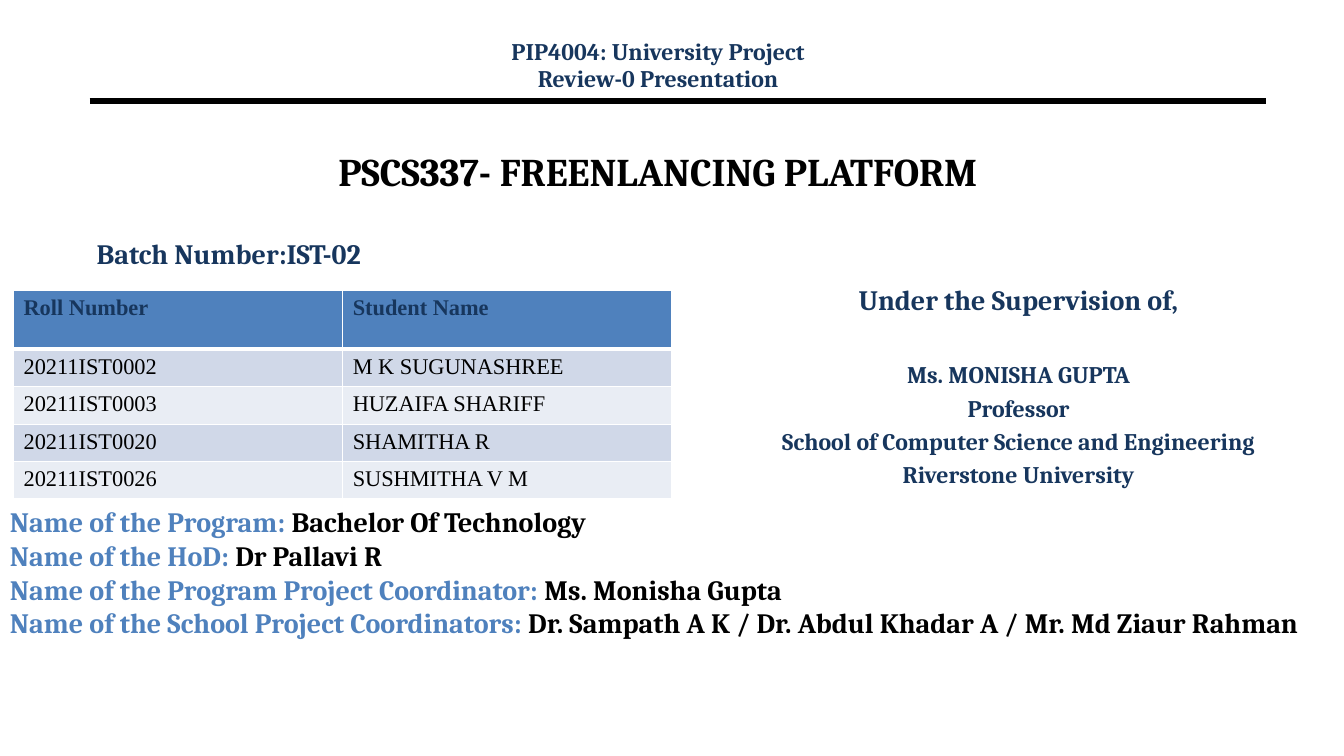
from lxml import etree
from pptx import Presentation
from pptx.dml.color import RGBColor
from pptx.enum.shapes import MSO_CONNECTOR
from pptx.enum.text import MSO_ANCHOR, PP_ALIGN
from pptx.oxml.ns import qn
from pptx.util import Pt

STRAIGHT = MSO_CONNECTOR.STRAIGHT
TOP, MIDDLE = MSO_ANCHOR.TOP, MSO_ANCHOR.MIDDLE
LEFT, CENTER = PP_ALIGN.LEFT, PP_ALIGN.CENTER

BLACK = RGBColor(0x00, 0x00, 0x00)
NAVY = RGBColor(0x17, 0x36, 0x5D)
BLUE = RGBColor(0x4F, 0x81, 0xBD)
BAND_DARK = RGBColor(0xD0, 0xD8, 0xE8)
BAND_LIGHT = RGBColor(0xE9, 0xED, 0xF4)
BORDER = "FFFFFF"

HEADING_FONT = "Cambria"
TABLE_FONT = "Times New Roman"

STUDENTS = [
    ("Roll Number", "Student Name"),
    ("20211IST0002", "M K SUGUNASHREE"),
    ("20211IST0003", "HUZAIFA SHARIFF"),
    ("20211IST0020", "SHAMITHA R"),
    ("20211IST0026", "SUSHMITHA V M"),
]
ROW_HEIGHTS = [42, 24.5, 27.5, 25, 24.5]

SUPERVISOR = [
    "Ms. MONISHA GUPTA",
    "Professor",
    "School of Computer Science and Engineering",
    "Riverstone University",
]

STAFF = [
    ("Name of the Program: ", "Bachelor Of Technology"),
    ("Name of the HoD: ", "Dr Pallavi R"),
    ("Name of the Program Project Coordinator: ", "Ms. Monisha Gupta"),
    ("Name of the School Project Coordinators: ",
     "Dr. Sampath A K / Dr. Abdul Khadar A / Mr. Md Ziaur Rahman"),
]


def style_run(run, size, color, font=HEADING_FONT, bold=True):
    run.font.name = font
    run.font.size = Pt(size)
    run.font.bold = bold
    run.font.color.rgb = color


def add_text(slide, box, lines, align=LEFT, anchor=TOP, line_spacing=None):
    """Each line is (space before, size, [(text, color), ...])."""
    frame = slide.shapes.add_textbox(*map(Pt, box)).text_frame
    frame.word_wrap = True
    frame.vertical_anchor = anchor
    for index, (space_before, size, pieces) in enumerate(lines):
        paragraph = frame.add_paragraph() if index else frame.paragraphs[0]
        paragraph.alignment = align
        paragraph.space_before = Pt(space_before)
        if line_spacing:
            paragraph.line_spacing = line_spacing
        for text, color in pieces:
            run = paragraph.add_run()
            run.text = text
            style_run(run, size, color)


def add_rule(slide, left, right, y):
    rule = slide.shapes.add_connector(STRAIGHT, Pt(left), Pt(y), Pt(right), Pt(y))
    rule.line.color.rgb = BLACK
    rule.line.width = Pt(4.5)
    etree.SubElement(rule._element.spPr, qn("a:effectLst"))


def set_borders(cell, widths):
    """Widths are in points: left, right, top, bottom."""
    properties = cell._tc.get_or_add_tcPr()
    for index, (side, width) in enumerate(zip("LRTB", widths)):
        border = etree.Element(qn(f"a:ln{side}"), w=str(Pt(width)))
        fill = etree.SubElement(border, qn("a:solidFill"))
        etree.SubElement(fill, qn("a:srgbClr"), val=BORDER)
        properties.insert(index, border)


def add_student_table(slide, left, top, width):
    table = slide.shapes.add_table(
        len(STUDENTS), 2, Pt(left), Pt(top), Pt(width), Pt(sum(ROW_HEIGHTS))).table
    for row, (height, values) in enumerate(zip(ROW_HEIGHTS, STUDENTS)):
        table.rows[row].height = Pt(height)
        header = row == 0
        band = BAND_DARK if row % 2 else BAND_LIGHT
        for column, value in enumerate(values):
            cell = table.cell(row, column)
            cell.text_frame.text = value
            style_run(cell.text_frame.paragraphs[0].runs[0], 16,
                      NAVY if header else BLACK, TABLE_FONT, header)
            cell.fill.solid()
            cell.fill.fore_color.rgb = BLUE if header else band
            set_borders(cell, (1, 1, 3 if row == 1 else 1, 3 if header else 1))


def main():
    presentation = Presentation()
    presentation.slide_width = Pt(960)
    presentation.slide_height = Pt(540)
    slide = presentation.slides.add_slide(presentation.slide_layouts[6])

    # Course heading and rule
    add_rule(slide, 64.1, 904.3, 72)
    add_text(slide, (313.9, 26.6, 312.5, 43.2),
             [(0, 17, [("PIP4004: University Project", NAVY)]),
              (3.1, 17, [("Review-0 Presentation", NAVY)])],
             CENTER, line_spacing=0.8)

    # Project title and batch
    add_text(slide, (61.9, 84.2, 815.8, 75.6),
             [(0, 28, [("PSCS337- FREENLANCING PLATFORM", BLACK)])], CENTER, MIDDLE)
    add_text(slide, (61.9, 165.6, 312.5, 43.2),
             [(0, 20, [("Batch Number:IST-02", NAVY)])])

    # Students
    add_student_table(slide, 9.7, 207.4, 470.2)

    # Supervisor, set apart from its heading by one line
    supervision = [(0, 20, [("Under the Supervision of,", NAVY)])]
    for index, line in enumerate(SUPERVISOR):
        supervision.append((3.4 if index else 31.5, 17, [(line, NAVY)]))
    add_text(slide, (510.5, 198, 434.2, 159.1), supervision, CENTER)

    # Programme staff
    add_text(slide, (0, 357.1, 960, 123.1),
             [(0, 20, [(role, BLUE), (name, BLACK)]) for role, name in STAFF])

    presentation.save("out.pptx")


if __name__ == "__main__":
    main()
